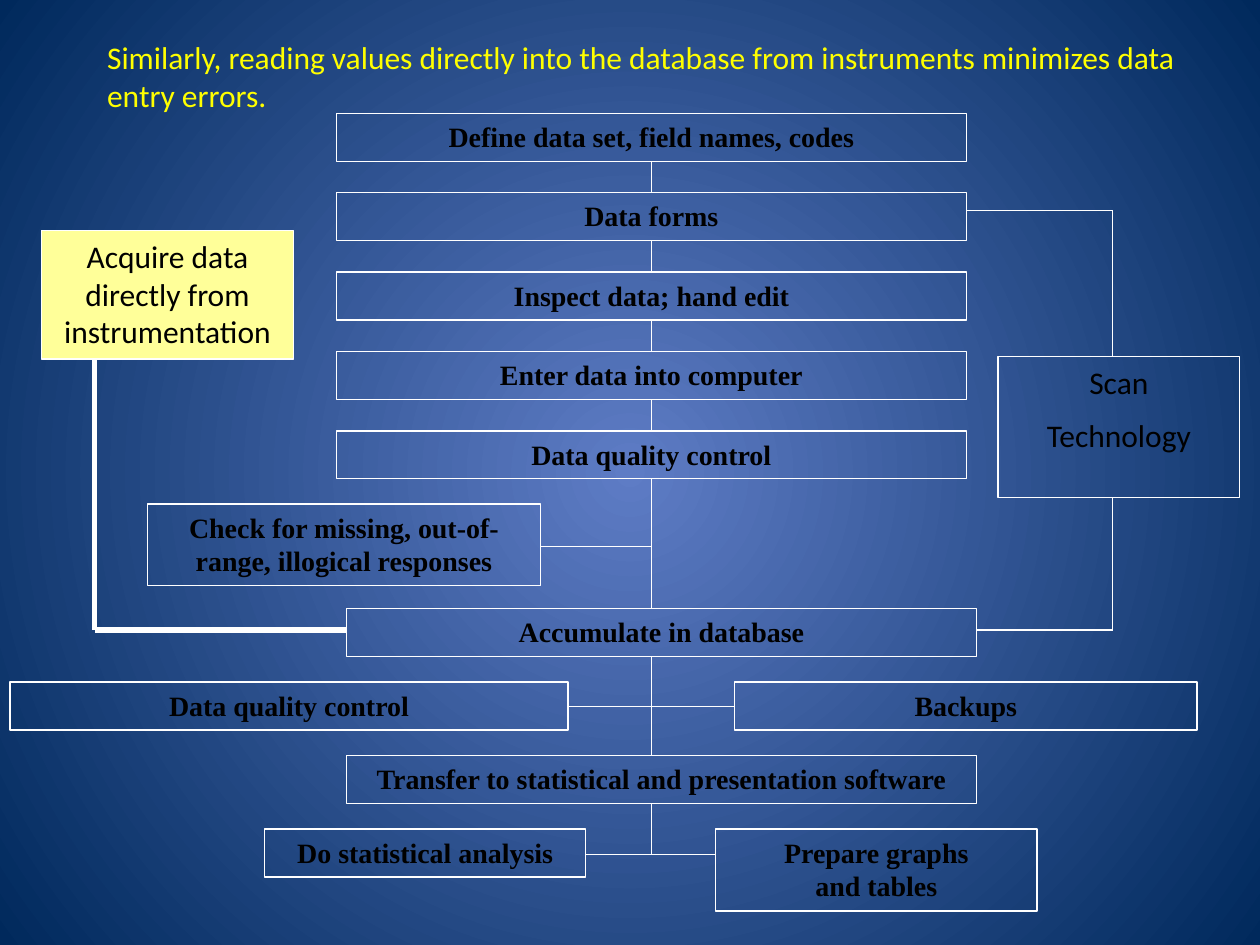
from pptx import Presentation
from pptx.dml.color import RGBColor
from pptx.enum.shapes import MSO_CONNECTOR, MSO_SHAPE
from pptx.enum.text import MSO_ANCHOR, MSO_AUTO_SIZE, PP_ALIGN
from pptx.oxml import parse_xml
from pptx.oxml.ns import nsdecls
from pptx.util import Inches, Pt

RECT = MSO_SHAPE.RECTANGLE
STRAIGHT = MSO_CONNECTOR.STRAIGHT
TOP = MSO_ANCHOR.TOP
CENTER, LEFT = PP_ALIGN.CENTER, PP_ALIGN.LEFT
NO_FIT = MSO_AUTO_SIZE.NONE

SERIF, SANS = "Times New Roman", "Calibri"
WHITE, BLACK, YELLOW, CREAM = "FFFFFF", "000000", "FFFF00", "FFFF99"
ROW = 0.38           # height of a one-line box
TALL = 0.65          # height of a two-line box
MID = 5.17           # x of the main stem
STEP_TOP, STEP_GAP = 0.9, 0.63
LOW_TOP, LOW_GAP = 4.83, 7 / 12
STEPS = ["Define data set, field names, codes", "Data forms",
         "Inspect data; hand edit", "Enter data into computer",
         "Data quality control"]


def color(code):
    return RGBColor.from_string(code)


def set_back(slide):
    """Fill the background with a round gradient, lightest at the centre."""
    fill = slide.background.fill
    fill.gradient()
    for stop, code in zip(fill.gradient_stops, ("5E7CC5", "00295C")):
        stop.color.rgb = color(code)
    lin = slide.element.xpath(".//*[local-name()='lin']")[0]
    lin.getparent().replace(lin, parse_xml(
        f'<a:path {nsdecls("a")} path="circle">'
        '<a:fillToRect l="50000" t="50000" r="50000" b="50000"/></a:path>'))


def write(frame, lines, size, face, code, align=CENTER, bold=False, gap=0):
    frame.word_wrap = True
    frame.auto_size = NO_FIT
    frame.vertical_anchor = TOP
    frame.text = "\n".join(lines)
    for i, para in enumerate(frame.paragraphs):
        para.alignment = align
        para.space_before = Pt(gap if i else 0)
        font = para.font
        font.size, font.name, font.bold = Pt(size), face, bold
        font.color.rgb = color(code)


def add_box(shapes, x, y, w, h, lines, fill=None, size=16, face=SERIF,
            bold=True, gap=0):
    box = shapes.add_shape(RECT, *map(Inches, (x, y, w, h)))
    box.shadow.inherit = False
    if fill:
        box.fill.solid()
        box.fill.fore_color.rgb = color(fill)
    else:
        box.fill.background()
    box.line.color.rgb = color(WHITE)
    box.line.width = Pt(0.75)
    write(box.text_frame, lines, size, face, BLACK, bold=bold, gap=gap)


def add_lines(shapes, points, width=0.75):
    """Join each point to the next with a straight line."""
    for start, end in zip(points, points[1:]):
        line = shapes.add_connector(STRAIGHT, *map(Inches, start + end))
        line.line.color.rgb = color(WHITE)
        line.line.width = Pt(width)
        line._element.spPr.append(
            parse_xml(f'<a:effectLst {nsdecls("a")}/>'))


def add_title(slide, text):
    title = slide.shapes.title
    title.left, title.top, title.width, title.height = map(
        Inches, (0.75, 0.25, 8.83, 0.71))
    write(title.text_frame, [text], 18, SANS, YELLOW, LEFT)


def add_steps(shapes):
    for i, text in enumerate(STEPS):
        y = STEP_TOP + i * STEP_GAP
        add_box(shapes, 2.67, y, 5, ROW, [text])
        if i:
            add_lines(shapes, [(MID, y - STEP_GAP + ROW), (MID, y)])
    add_lines(shapes, [(MID, y + ROW), (MID, LOW_TOP)])
    add_box(shapes, 1.17, 4, 3.12, TALL,
            ["Check for missing, out-of-range, illogical responses"])
    add_lines(shapes, [(4.29, 4.34), (MID, 4.34)])


def add_lower(shapes):
    rows = [LOW_TOP + i * LOW_GAP for i in range(4)]
    for x, row, w, h, lines in (
            (2.75, 0, 5, ROW, ["Accumulate in database"]),
            (0.08, 1, 4.43, ROW, ["Data quality control"]),
            (5.83, 1, 3.67, ROW, ["Backups"]),
            (2.75, 2, 5, ROW,
             ["Transfer to statistical and presentation software"]),
            (2.1, 3, 2.55, ROW, ["Do statistical analysis"]),
            (5.68, 3, 2.55, TALL, ["Prepare graphs", "and tables"])):
        add_box(shapes, x, rows[row], w, h, lines)
    low = rows[3] + 0.2
    add_lines(shapes, [(MID, rows[0] + ROW), (MID, rows[2])])
    add_lines(shapes, [(4.51, 5.61), (5.83, 5.61)])
    add_lines(shapes, [(MID, rows[2] + ROW), (MID, low)])
    add_lines(shapes, [(4.65, low), (5.68, low)])


def add_sides(shapes):
    """Add the two routes that bypass manual entry."""
    add_box(shapes, 7.92, 2.83, 1.92, 1.12, ["Scan", "Technology"],
            size=18, face=SANS, bold=False, gap=9)
    add_lines(shapes, [(7.67, 1.67), (8.83, 1.67), (8.83, 2.83)])
    add_lines(shapes, [(8.83, 3.95), (8.83, 5), (7.75, 5)])
    group = shapes.add_group_shape().shapes
    add_box(group, 0.33, 1.83, 2, 1.02,
            ["Acquire data directly from instrumentation"],
            fill=CREAM, size=18, face=SANS, bold=False)
    add_lines(group, [(0.75, 2.85), (0.75, 5), (2.75, 5)], 3)


def main():
    deck = Presentation()
    deck.slide_width, deck.slide_height = Inches(10), Inches(7.5)
    slide = deck.slides.add_slide(deck.slide_layouts[5])
    set_back(slide)
    add_title(slide, "Similarly, reading values directly into the database "
                     "from instruments minimizes data entry errors.")
    add_steps(slide.shapes)
    add_lower(slide.shapes)
    add_sides(slide.shapes)
    deck.save("out.pptx")


if __name__ == "__main__":
    main()
